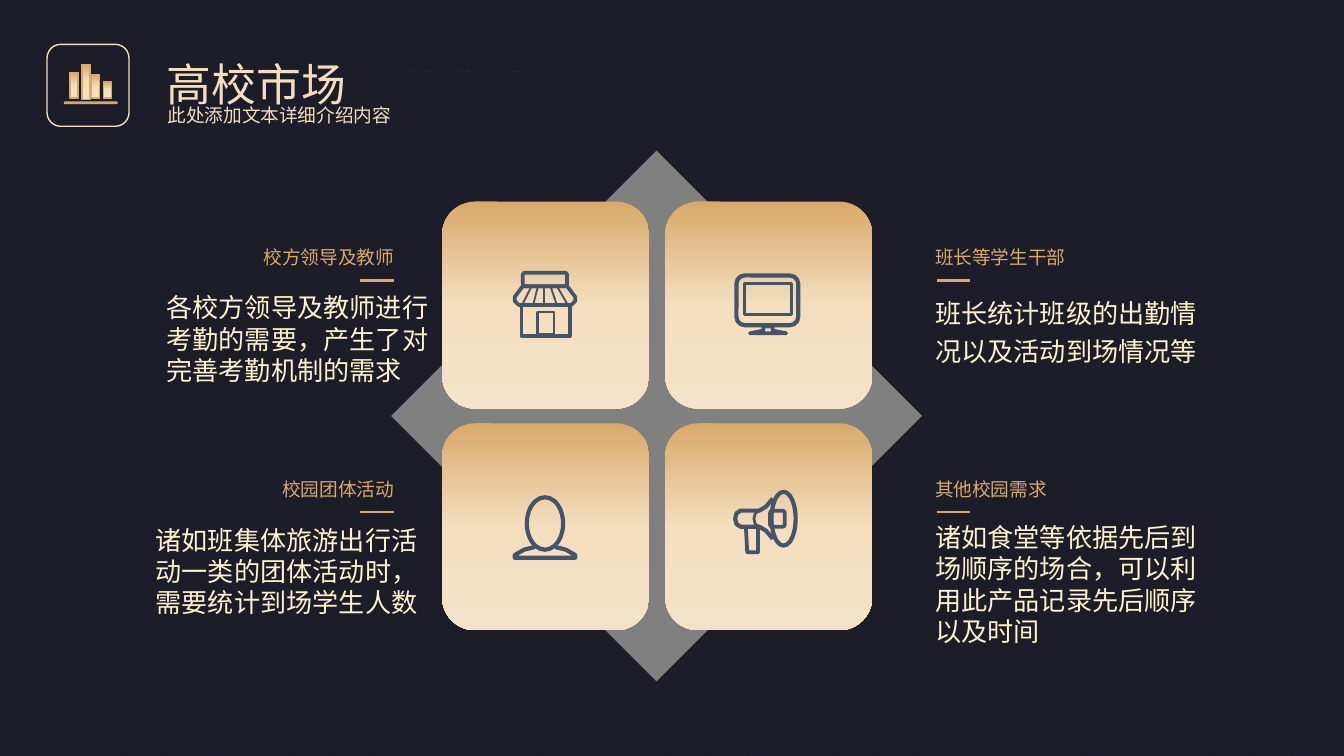
from pptx import Presentation
from pptx.dml.color import RGBColor
from pptx.enum import dml, shapes, text
from pptx.oxml import parse_xml
from pptx.oxml.ns import nsdecls, qn
from pptx.util import Inches, Pt

GOLD, CREAM, PALE, SLATE = "D9A96A", "F4DEBE", "FFF2CC", "44546A"
LEFT, RIGHT = text.PP_ALIGN.LEFT, text.PP_ALIGN.RIGHT
SHAPE = shapes.MSO_SHAPE

TITLE = "高校市场"
SUBTITLE = "此处添加文本详细介绍内容"
CJK = "Noto Sans CJK SC"
# heading, heading (left, top, width), body, body (left, top, height), font, spacing
GROUPS = [
    ("校方领导及教师", (1.86, 1.75, 1.17),
     "各校方领导及教师进行考勤的需要，产生了对完善考勤机制的需求", (1.14, 2.12, 1.09), CJK, 1),
    ("校园团体活动", (2, 3.47, 1.03),
     "诸如班集体旅游出行活动一类的团体活动时，需要统计到场学生人数", (1.06, 3.85, 0.81), CJK, 1),
    ("班长等学生干部", (6.86, 1.75, 1.17),
     "班长统计班级的出勤情况以及活动到场情况等", (6.86, 2.12, 0.66), "Arial", 1.2),
    ("其他校园需求", (6.86, 3.47, 1.03),
     "诸如食堂等依据先后到场顺序的场合，可以利用此产品记录先后顺序以及时间",
     (6.86, 3.83, 1.04), CJK, 1),
]
BARS = [(0.52, 0.54, 0.19), (0.61, 0.48, 0.26), (0.68, 0.56, 0.17), (0.77, 0.61, 0.12)]

# Icon parts: preset, (left, top, width, height), line width
ICON_SHAPES = [
    (SHAPE.ROUNDED_RECTANGLE, (3.89, 2.03, 0.33, 0.1), 2),
    (SHAPE.RECTANGLE, (3.88, 2.27, 0.36, 0.23), 2),
    (SHAPE.RECTANGLE, (4, 2.32, 0.12, 0.17), 1.25),
    (SHAPE.ROUNDED_RECTANGLE, (5.48, 2.05, 0.46, 0.37), 2.25),
    (SHAPE.RECTANGLE, (5.54, 2.11, 0.35, 0.23), 1.25),
    (SHAPE.OVAL, (3.92, 3.7, 0.27, 0.39), 2.25),
    (SHAPE.OVAL, (5.74, 3.66, 0.18, 0.4), 2.25),
    (SHAPE.ROUNDED_RECTANGLE, (5.73, 3.8, 0.11, 0.12), 2),
]
# Icon outlines: points, closed, line width
ICON_PATHS = [
    ([(3.89, 2.13), (4.22, 2.13), (4.28, 2.21), (4.28, 2.24), (4.25, 2.27),
      (3.86, 2.27), (3.83, 2.24), (3.83, 2.21)], True, 2),
    ([(5.68, 2.43), (5.68, 2.46), (5.58, 2.48), (5.85, 2.48), (5.75, 2.46), (5.75, 2.43)],
     True, 2),
    ([(3.98, 4.07), (3.9, 4.09), (3.83, 4.13), (3.83, 4.15), (4.28, 4.15),
      (4.28, 4.13), (4.21, 4.09), (4.13, 4.07)], False, 2.25),
    ([(5.75, 3.71), (5.7, 3.77), (5.65, 3.8), (5.51, 3.8), (5.48, 3.82), (5.47, 3.86),
      (5.48, 3.9), (5.51, 3.92), (5.65, 3.92), (5.7, 3.95), (5.75, 4.01)], False, 2.25),
    ([(5.65, 3.8), (5.62, 3.82), (5.61, 3.86), (5.62, 3.9), (5.65, 3.92)], False, 1.5),
    ([(5.55, 3.93), (5.56, 4.11), (5.64, 4.11), (5.64, 3.93)], False, 2),
]
# Awning stripes: top x, bottom x
STRIPES = [(3.95, 3.89), (4, 3.97), (4.05, 4.05), (4.1, 4.14), (4.15, 4.22)]


def color(value):
    return RGBColor.from_string(value)


def set_gradient(fill, parent, middle=50):
    """Give the element the downward gold gradient in place of its fill."""
    fill.background()
    stops = "".join(
        f'<a:gs pos="{position * 1000}"><a:srgbClr val="{value}"/></a:gs>'
        for position, value in ((0, GOLD), (middle, CREAM), (100, "F5E3C9")))
    gradient = parse_xml(f'<a:gradFill {nsdecls("a")} rotWithShape="1"><a:gsLst>{stops}'
                         '</a:gsLst><a:lin ang="5400000" scaled="0"/></a:gradFill>')
    parent.replace(parent.find(qn("a:noFill")), gradient)


def style(shape, fill=None, line=None, width=0.75):
    shape.shadow.inherit = False
    if fill == "gradient":
        set_gradient(shape.fill, shape._element.spPr)
    elif fill:
        shape.fill.solid()
        shape.fill.fore_color.rgb = color(fill)
    else:
        shape.fill.background()
    if line:
        shape.line.color.rgb = color(line)
        shape.line.width = Pt(width)
    else:
        shape.line.fill.background()


def add_shape(preset, box, fill=None, line=None, width=0.75):
    shape = slide.shapes.add_shape(preset, *map(Inches, box))
    style(shape, fill, line, width)
    return shape


def add_path(points, closed, width):
    corners = [(Inches(x), Inches(y)) for x, y in points]
    builder = slide.shapes.build_freeform(*corners[0])
    builder.add_line_segments(corners[1:], close=closed)
    style(builder.convert_to_shape(), None, SLATE, width)


def add_line(x1, y1, x2, y2, line, width):
    connector = slide.shapes.add_connector(
        shapes.MSO_CONNECTOR.STRAIGHT, *map(Inches, (x1, y1, x2, y2)))
    connector.line.color.rgb = color(line)
    connector.line.width = Pt(width)
    connector._element.spPr.append(parse_xml(f'<a:effectLst {nsdecls("a")}/>'))
    return connector


def write(shape, box, words, size, font_color=None, font="Arial", spacing=1.2,
          align=LEFT, wrap=True):
    """Place a text shape; without a colour its text takes the gradient."""
    shape.left, shape.top, shape.width, shape.height = map(Inches, box)
    frame = shape.text_frame
    frame.text = words
    frame.word_wrap = wrap
    frame.auto_size = text.MSO_AUTO_SIZE.NONE
    frame.vertical_anchor = text.MSO_ANCHOR.TOP
    paragraph = frame.paragraphs[0]
    paragraph.alignment = align
    paragraph.line_spacing = spacing
    paragraph.font.size = Pt(size)
    paragraph.font.name = font
    if font_color:
        paragraph.font.color.rgb = color(font_color)
    else:
        set_gradient(paragraph.font.fill, paragraph.font._rPr)


def add_text(box, *args, **options):
    write(slide.shapes.add_textbox(*map(Inches, box)), box, *args, **options)


presentation = Presentation()
presentation.slide_width = Inches(10)
presentation.slide_height = Inches(10 * 9 / 16)
slide = presentation.slides.add_slide(presentation.slide_layouts[5])
background = slide.background.fill
background.patterned()
background.pattern = dml.MSO_PATTERN.LIGHT_UPWARD_DIAGONAL
background.fore_color.rgb = color("222332")
background.back_color.rgb = color("1B1C27")

# Header
add_shape(SHAPE.ROUNDED_RECTANGLE, (0.35, 0.33, 0.61, 0.61), None, CREAM)
add_shape(SHAPE.ROUNDED_RECTANGLE, (0.48, 0.76, 0.39, 0.01), "gradient", GOLD)
for left, top, height in BARS:
    bar = add_shape(SHAPE.RECTANGLE, (left, top, 0.06, height), None, GOLD)
    set_gradient(bar.fill, bar._element.spPr, 48)
add_line(3.03, 0.53, 4.17, 0.53, "262626", 0.75).line.dash_style = dml.MSO_LINE.DASH
write(slide.shapes.title, (1.14, 0.29, 2.36, 0.58), TITLE, 24)
add_text((1.15, 0.69, 1.89, 0.28), SUBTITLE, 10)

# Diamond and tiles
add_shape(SHAPE.DIAMOND, (2.91, 1.12, 3.95, 3.95), "808080")
for left in (3.29, 4.95):
    for top in (1.5, 3.15):
        tile = add_shape(SHAPE.ROUNDED_RECTANGLE, (left, top, 1.54, 1.54), "gradient")
        tile.adjustments[0] = 0.16

# Text groups
for heading, (left, top, width), body, (body_left, body_top, height), font, spacing in GROUPS:
    on_left = left < 5
    add_text((body_left, body_top, 2.3, height), body, 14, PALE, font, spacing)
    add_text((left, top, width, 0.3), heading, 10, GOLD, wrap=False,
             align=RIGHT if on_left else LEFT)
    rule_left = 2.68 if on_left else 6.97
    add_line(rule_left, top + 0.34, rule_left + 0.25, top + 0.34, GOLD, 1.5)

# Icons
for preset, box, width in ICON_SHAPES:
    add_shape(preset, box, None, SLATE, width)
for points, closed, width in ICON_PATHS:
    add_path(points, closed, width)
for top_x, bottom_x in STRIPES:
    add_line(top_x, 2.14, bottom_x, 2.26, SLATE, 1)

presentation.save("out.pptx")
